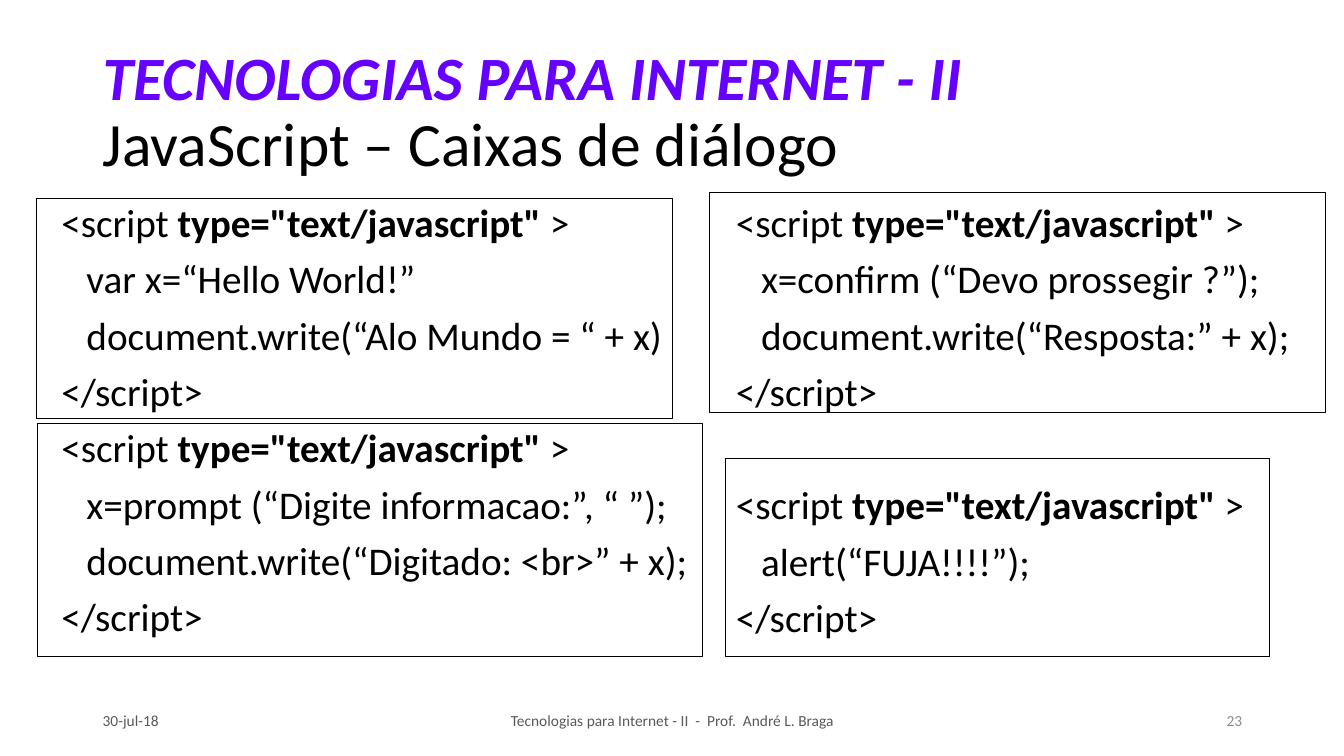
import pptx
import pptx.util
import pptx.dml.color
import pptx.enum.text
import pptx.enum.shapes

Inches, Pt = pptx.util.Inches, pptx.util.Pt
ALIGN = pptx.enum.text.PP_ALIGN
ANCHOR = pptx.enum.text.MSO_ANCHOR

COLORS = {"purple": "6600FF", "black": "000000", "gray": "595959", "light": "8C8C8C"}
FONT = "Calibri"
CODE_SIZE, CODE_GAP, BLOCK_GAP = 28, 10, 50.75

TITLE = ("TECNOLOGIAS PARA INTERNET - II", "JavaScript – Caixas de diálogo")
CODE_COLUMNS = [
    ((0.51, 1.97, 6.97, 4.76), CODE_GAP, [
        ["var x=“Hello World!”", "document.write(“Alo Mundo = “ + x)"],
        ["x=prompt (“Digite informacao:”, “ ”);", "document.write(“Digitado: <br>” + x);"],
    ]),
    ((7.2, 1.97, 6.13, 5.04), BLOCK_GAP, [
        ["x=confirm (“Devo prossegir ?”);", "document.write(“Resposta:” + x);"],
        ["alert(“FUJA!!!!”);"],
    ]),
]
FRAMES = [
    (0.36, 1.97, 6.31, 2.18),
    (7.04, 1.91, 6.11, 2.18),
    (0.37, 4.2, 6.6, 2.31),
    (7.2, 4.55, 5.39, 1.96),
]
FOOTERS = [
    ("30-jul-18", 0.92, 3, ALIGN.LEFT, "gray"),
    ("Tecnologias para Internet - II  -  Prof.  André L. Braga", 4.42, 4.5, ALIGN.CENTER, "gray"),
    ("23", 9.42, 3, ALIGN.RIGHT, "light"),
]

prs = pptx.Presentation()
prs.slide_width, prs.slide_height = Inches(13.33), Inches(7.5)
s = prs.slides.add_slide(prs.slide_layouts[6])


def rgb(name):
    return pptx.dml.color.RGBColor.from_string(COLORS[name])


def add_box(at, anchor=ANCHOR.TOP):
    tf = s.shapes.add_textbox(*map(Inches, at)).text_frame
    tf.word_wrap = True
    tf.vertical_anchor = anchor
    return tf


def add_run(p, text, size=CODE_SIZE, color="black", bold=False, italic=False):
    r = p.add_run()
    r.text = text
    r.font.name, r.font.size = FONT, Pt(size)
    r.font.bold, r.font.italic = bold, italic
    r.font.color.rgb = rgb(color)


def add_code_line(tf, parts, before):
    first = not tf.paragraphs[0].runs
    p = tf.paragraphs[0] if first else tf.add_paragraph()
    pPr = p._p.get_or_add_pPr()
    pPr.set("marL", str(Inches(0.25)))
    pPr.set("indent", str(-Inches(0.25)))
    p.line_spacing = 0.9
    p.space_before = Pt(0 if first else before)
    for text, bold in parts:
        add_run(p, text, bold=bold)


p = add_box((0.92, 0.4, 11.5, 1.45), ANCHOR.MIDDLE).paragraphs[0]
p.line_spacing = 0.9
add_run(p, TITLE[0], size=44, color="purple", bold=True, italic=True)
p.add_line_break()
add_run(p, TITLE[1], size=44)

for at, block_gap, blocks in CODE_COLUMNS:
    tf = add_box(at)
    for body in blocks:
        opening = [("<script ", False), ('type="text/javascript" ', True), (">", False)]
        add_code_line(tf, opening, block_gap)
        for line in body:
            add_code_line(tf, [("\t" + line, False)], CODE_GAP)
        add_code_line(tf, [("</script>", False)], CODE_GAP)

for text, left, width, align, color in FOOTERS:
    p = add_box((left, 6.95, width, 0.4), ANCHOR.MIDDLE).paragraphs[0]
    p.alignment = align
    add_run(p, text, size=11, color=color)

for at in FRAMES:
    sp = s.shapes.add_shape(pptx.enum.shapes.MSO_SHAPE.FLOWCHART_PROCESS, *map(Inches, at))
    sp.shadow.inherit = False
    sp.fill.background()
    sp.line.color.rgb = rgb("black")
    sp.line.width = Pt(0.75)

prs.save("out.pptx")
